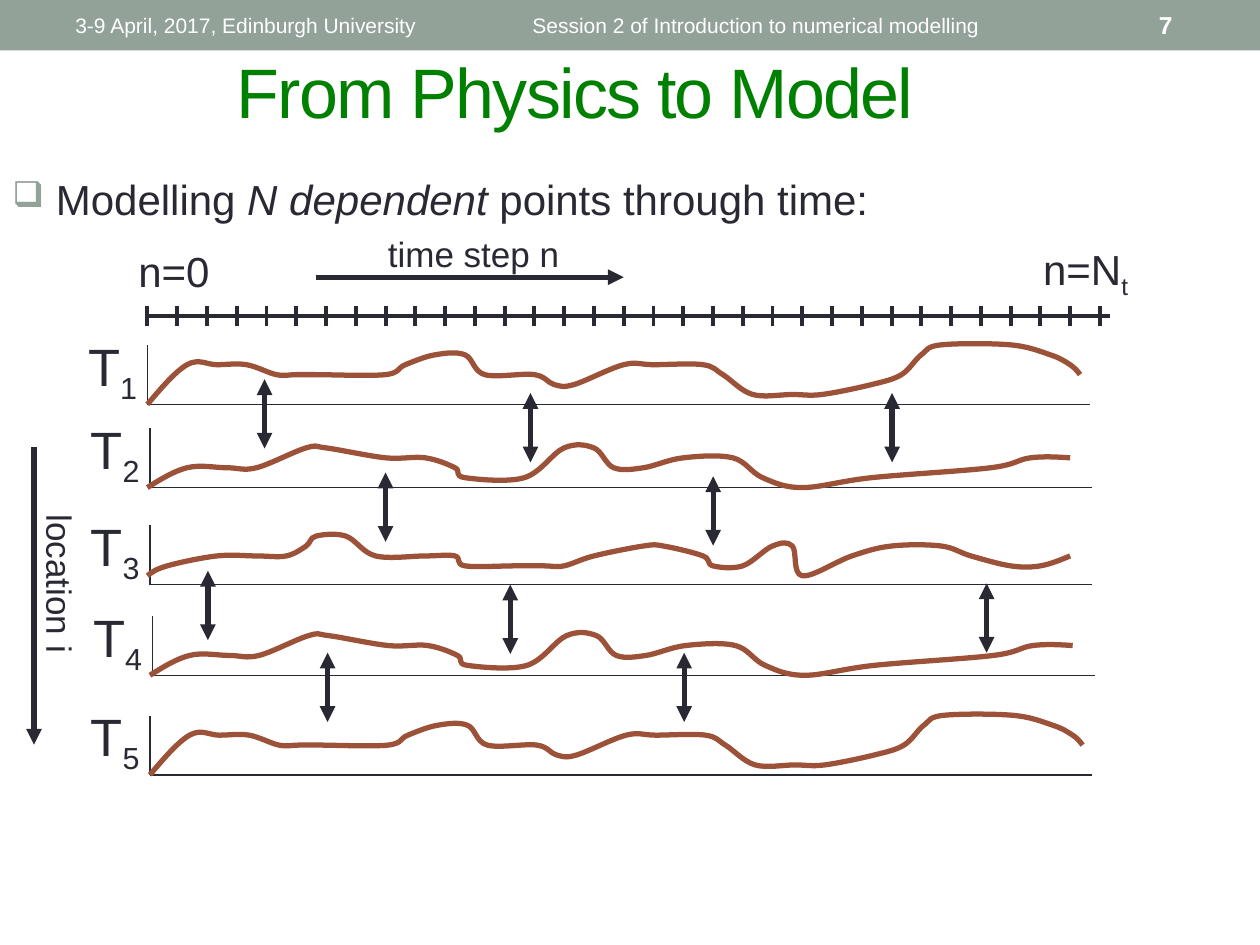
from itertools import pairwise

from lxml import etree
from pptx import Presentation
from pptx import util as u
from pptx.dml.color import RGBColor
from pptx.enum import shapes, text
from pptx.oxml import ns

FONT = "Arial"
INK = RGBColor(0x29, 0x29, 0x34)
SAGE = RGBColor(0x93, 0xA2, 0x99)
GREEN = RGBColor(0x00, 0x80, 0x00)
RUST = RGBColor(0x9C, 0x52, 0x38)
WHITE = RGBColor(0xFF, 0xFF, 0xFF)

# The time axis: 33 ticks, with three curve units to each tick
AXIS_LEFT, AXIS_Y, TICKS = 1.17, 2.51, 33
TICK_GAP = (8.73 - AXIS_LEFT) / (TICKS - 1)
UNIT = TICK_GAP / 3

# Curve knots in units: steps to the right, steps up from the base
OUTER = [(0, 0), (4, 4), (7, 4), (10, 4), (13, 3), (15, 3), (17, 3), (24, 3),
         (26, 4), (29, 5), (32, 5), (34, 3), (39, 3), (41, 2), (43, 2), (48, 4),
         (51, 4), (56, 4), (58, 3), (61, 1), (65, 1), (68, 1), (73, 2), (76, 3),
         (78, 5), (80, 6), (87, 6), (91, 5), (93, 4), (94, 3)]
INNER = [(0, 0), (4, 2), (8, 2), (11, 2), (16, 4), (18, 4), (24, 3), (28, 3),
         (31, 2), (32, 1), (38, 1), (42, 4), (45, 4), (47, 2), (50, 2), (54, 3),
         (59, 3), (62, 1), (66, 0), (73, 1), (85, 2), (89, 3), (93, 3)]
MIDDLE = [(0, 0), (2, 1), (7, 2), (11, 2), (14, 2), (16, 3), (17, 4), (20, 4),
          (23, 2), (28, 2), (31, 2), (32, 1), (37, 1), (40, 1), (42, 1), (45, 2),
          (50, 3), (52, 3), (56, 2), (57, 1), (60, 1), (63, 3), (65, 3), (66, 0),
          (71, 2), (75, 3), (80, 3), (83, 2), (87, 1), (90, 1), (93, 2)]

# Each location: knots, axis left, base line, curve start
LOCATIONS = [
    (OUTER, 1.17, 3.21, (1.17, 3.21)),
    (INNER, 1.19, 3.87, (1.17, 3.87)),
    (MIDDLE, 1.19, 4.64, (1.17, 4.57)),
    (INNER, 1.21, 5.36, (1.19, 5.36)),
    (OUTER, 1.19, 6.15, (1.19, 6.15)),
]

# Top ends of the arrows that link neighbouring locations
LINKS = [(2.1, 3.01), (4.21, 3.12), (7.08, 3.12), (3.06, 3.75), (5.66, 3.78),
         (1.65, 4.53), (4.05, 4.64), (7.83, 4.63), (2.6, 5.18), (5.43, 5.18)]
LINK_LENGTH = 0.55


def write(para, words, size=24, color=INK, bold=False, italic=False,
          baseline=0, spacing=0):
    span = para.add_run()
    span.text = words
    font = span.font
    font.name, font.size = FONT, u.Pt(size)
    font.bold, font.italic = bold, italic
    font.color.rgb = color
    props = span._r.get_or_add_rPr()
    if baseline:
        props.set("baseline", str(baseline * 1000))
    if spacing:
        props.set("spc", str(spacing * 100))


def add_box(page, left, top, width, height, wrap=True, middle=False, centred=False):
    """Add a text box and return it with its first paragraph."""
    box = page.shapes.add_textbox(*map(u.Inches, (left, top, width, height)))
    frame = box.text_frame
    frame.word_wrap = wrap
    if not wrap:
        frame.auto_size = text.MSO_AUTO_SIZE.SHAPE_TO_FIT_TEXT
    frame.vertical_anchor = text.MSO_ANCHOR.MIDDLE if middle else text.MSO_ANCHOR.TOP
    para = frame.paragraphs[0]
    para.alignment = text.PP_ALIGN.CENTER if centred else text.PP_ALIGN.LEFT
    return box, para


def add_label(page, left, top, width, height, words, size, subscript="", rotation=0):
    box, para = add_box(page, left, top, width, height, wrap=False)
    box.rotation = rotation
    write(para, words, size=size)
    if subscript:
        write(para, subscript, size=size, baseline=-25)


def add_line(page, x1, y1, x2, y2, width, heads=()):
    """Draw a straight line; heads names the ends that carry an arrowhead."""
    line = page.shapes.add_connector(
        shapes.MSO_CONNECTOR.STRAIGHT, *map(u.Inches, (x1, y1, x2, y2)))
    line.line.color.rgb = INK
    line.line.width = u.Pt(width)
    outline = line.line._get_or_add_ln()
    for end in heads:
        etree.SubElement(outline, ns.qn(f"a:{end}"), type="triangle")
    etree.SubElement(line._element.spPr, ns.qn("a:effectLst"))


def smooth_segments(points):
    """Yield the two handles and the end of each Bezier segment."""
    def midpoint(a, b):
        return tuple((p + q) / 2 for p, q in zip(a, b))

    slopes = [tuple((q - p) / 6 for p, q in zip(before, after))
              for before, after in zip(points, points[2:])]
    slopes = [None, *slopes, None]
    for (start, go), (end, arrive) in pairwise(zip(points, slopes)):
        leave = go and tuple(p + s for p, s in zip(start, go))
        reach = arrive and tuple(p - s for p, s in zip(end, arrive))
        yield leave or midpoint(start, reach), reach or midpoint(leave, end), end


def add_curve(page, knots, start):
    points = [(u.Inches(start[0] + x * UNIT), u.Inches(start[1] - y * UNIT))
              for x, y in knots]
    builder = page.shapes.build_freeform(*points[0])
    builder.add_line_segments(points[1:], close=False)
    curve = builder.convert_to_shape()
    curve.shadow.inherit = False
    curve.fill.background()
    curve.line.color.rgb = RUST
    curve.line.width = u.Pt(3)
    # Turn the straight segments into Bezier segments
    outline = curve._element.xpath(".//a:path")[0]
    for segment in outline.findall(ns.qn("a:lnTo")):
        outline.remove(segment)
    for segment in smooth_segments(points):
        bezier = etree.SubElement(outline, ns.qn("a:cubicBezTo"))
        for x, y in segment:
            etree.SubElement(bezier, ns.qn("a:pt"), x=str(round(x - curve.left)),
                             y=str(round(y - curve.top)))


def add_header(page):
    bar = page.shapes.add_shape(shapes.MSO_SHAPE.RECTANGLE, 0, 0, u.Inches(10), u.Inches(0.4))
    bar.shadow.inherit = False
    bar.fill.solid()
    bar.fill.fore_color.rgb = SAGE
    bar.line.fill.background()
    for left, width, words, size, centred, bold in [
        (0.5, 3.17, "3-9 April, 2017, Edinburgh University", 12, False, False),
        (3.75, 4.5, "Session 2 of Introduction to numerical modelling", 12, True, False),
        (9.1, 0.53, "7", 14, False, True),
    ]:
        _, para = add_box(page, left, 0.02, width, 0.36, middle=True, centred=centred)
        write(para, words, size=size, color=WHITE, bold=bold)


def add_title(page, words):
    title = page.shapes.title
    title.left, title.top, title.width, title.height = map(u.Inches, (0, 0.32, 9.13, 0.79))
    title.text_frame.vertical_anchor = text.MSO_ANCHOR.MIDDLE
    para = title.text_frame.paragraphs[0]
    para.alignment = text.PP_ALIGN.CENTER
    write(para, words, size=40, color=GREEN, spacing=-1)


def add_bullet(page):
    _, para = add_box(page, 0, 1.33, 9.13, 5.75)
    para.space_before = u.Pt(5)
    props = para._p.get_or_add_pPr()
    props.set("marL", str(u.Inches(0.2)))
    props.set("indent", str(u.Inches(-0.2)))
    color = etree.SubElement(props, ns.qn("a:buClr"))
    etree.SubElement(color, ns.qn("a:srgbClr"), val=str(SAGE))
    etree.SubElement(props, ns.qn("a:buSzPct"), val="85000")
    etree.SubElement(props, ns.qn("a:buChar"), char="❑")
    write(para, " Modelling ")
    write(para, "N dependent", italic=True)
    write(para, " points through time:")


def add_time_axis(page):
    add_line(page, AXIS_LEFT, AXIS_Y, 8.81, AXIS_Y, 2.25)
    for tick in range(TICKS):
        x = AXIS_LEFT + tick * TICK_GAP
        add_line(page, x, AXIS_Y + 0.08, x, AXIS_Y - 0.08, 2.25)
    add_line(page, 2.51, 2.2, 4.95, 2.2, 3, heads=["tailEnd"])
    add_label(page, 2.98, 1.8, 1.57, 0.44, "time step n", 20)
    add_label(page, 1, 1.9, 0.77, 0.5, "n=0", 24)
    add_label(page, 8.18, 1.88, 0.89, 0.5, "n=N", 24, subscript="t")


def add_location(page, number, knots, left, base, start):
    add_line(page, left, base - 0.47, left, base, 0.75)
    add_line(page, left, base, left + 7.48, base, 0.75)
    add_curve(page, knots, start)
    add_label(page, left - 0.57, base - 0.61, 0.61, 0.6, "T", 30, subscript=str(number))


def main():
    deck = Presentation()
    deck.slide_width, deck.slide_height = u.Inches(10), u.Inches(7.5)
    page = deck.slides.add_slide(deck.slide_layouts[5])
    add_header(page)
    add_bullet(page)
    add_title(page, "From Physics to Model")
    add_time_axis(page)
    for number, location in enumerate(LOCATIONS, 1):
        add_location(page, number, *location)
    # Direction of the locations
    add_line(page, 0.27, 3.55, 0.27, 5.91, 3, heads=["tailEnd"])
    add_label(page, -0.17, 4.42, 1.3, 0.43, "location i", 20, rotation=90)
    # Links between neighbours
    for x, y in LINKS:
        add_line(page, x, y, x, y + LINK_LENGTH, 3, heads=["headEnd", "tailEnd"])
    deck.save("out.pptx")


if __name__ == "__main__":
    main()
